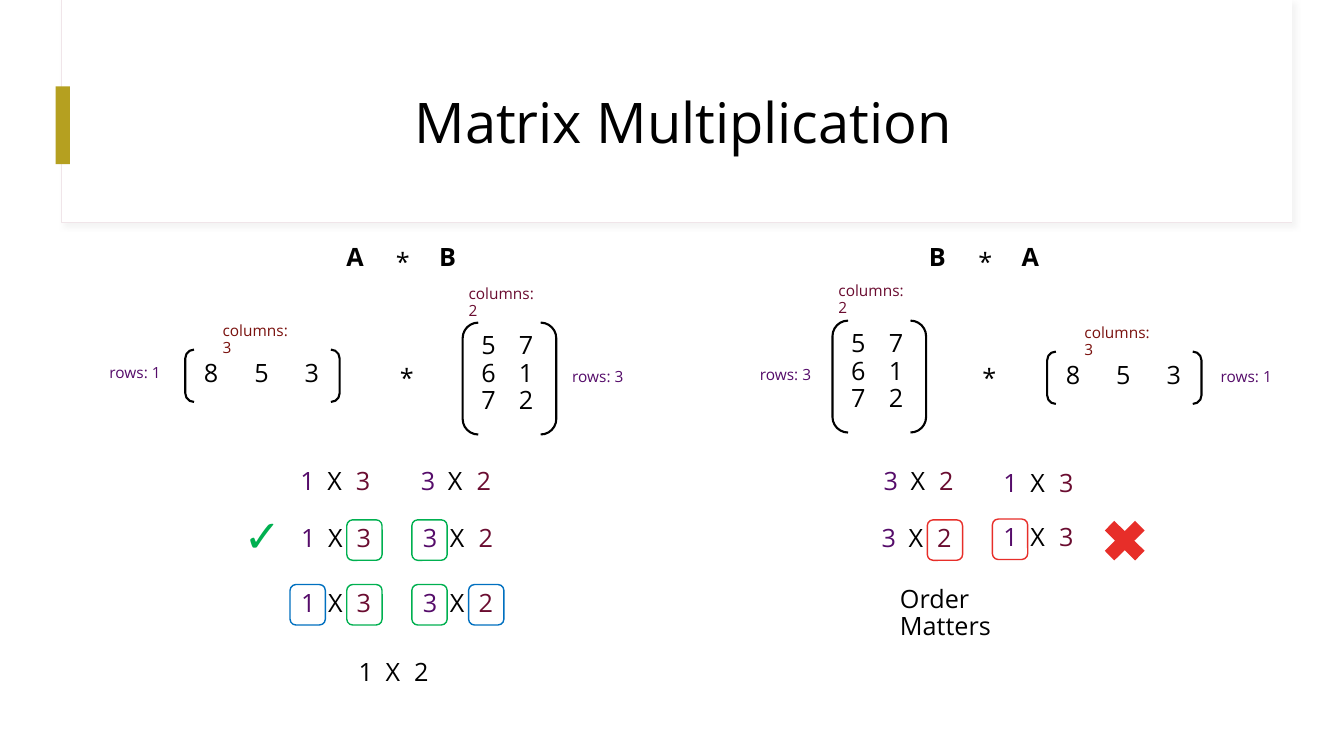
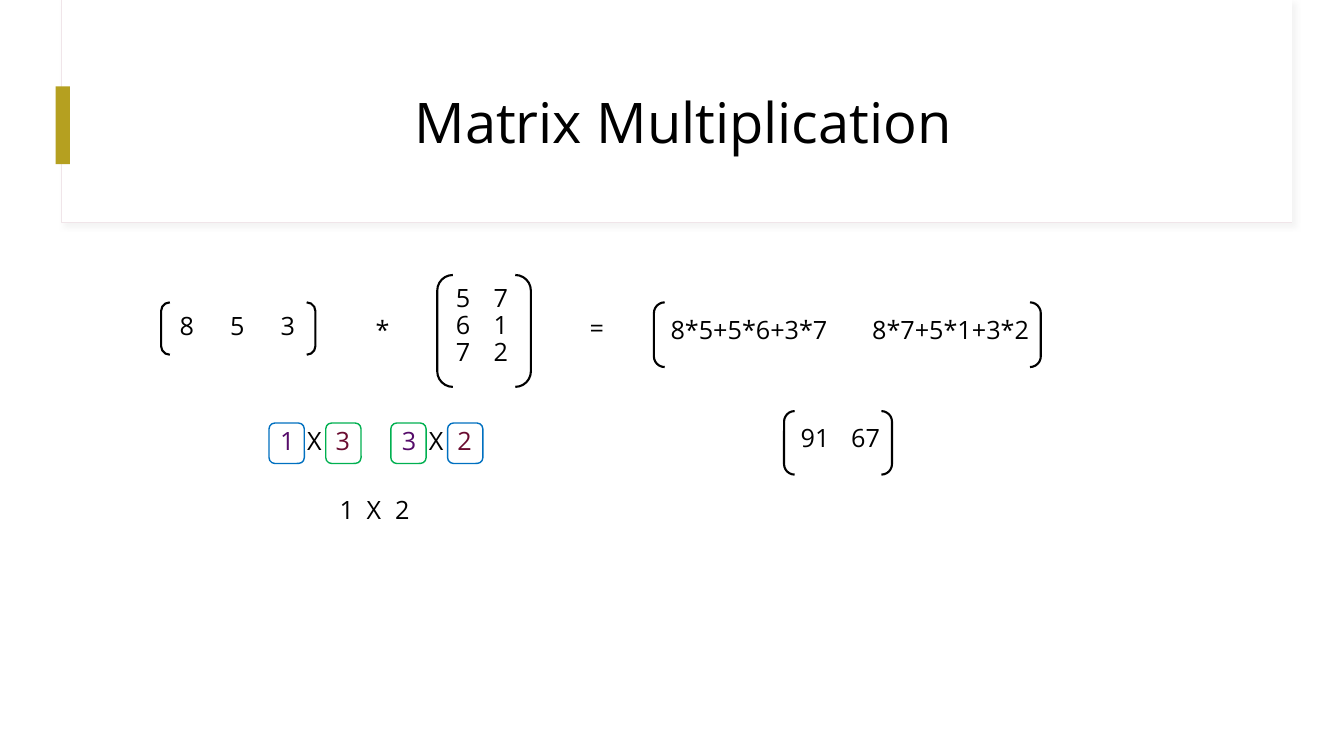
from lxml.etree import SubElement
from pptx import Presentation
from pptx.dml.color import RGBColor
from pptx.enum.shapes import MSO_SHAPE as SHAPE
from pptx.enum.text import MSO_ANCHOR as ANCHOR, PP_ALIGN as ALIGN
from pptx.oxml import parse_xml
from pptx.oxml.ns import nsdecls, qn
from pptx.util import Cm, Pt

FONT = "Open Sans"
BLACK = RGBColor(0x00, 0x00, 0x00)
WHITE = RGBColor(0xFF, 0xFF, 0xFF)
PANEL_LINE = RGBColor(0xF0, 0xE5, 0xE9)
GOLD = RGBColor(0xB5, 0xA0, 0x20)
PURPLE = RGBColor(0x55, 0x0C, 0x6A)
WINE = RGBColor(0x6A, 0x0C, 0x30)
BRICK = RGBColor(0x7A, 0x11, 0x0E)
GREEN = RGBColor(0x00, 0xB0, 0x50)
BLUE = RGBColor(0x00, 0x70, 0xC0)
RED = RGBColor(0xE7, 0x2E, 0x29)

# Text styles
BODY = {"size": Pt(18)}
BOLD = {"size": Pt(18), "bold": True}
SMALL = {"size": Pt(11)}
MARK = {"size": Pt(32)}

# Content; all positions and sizes in cm
ROW_VALUES = "8\t5\t3"
COLUMN_VALUES = ["7", "1", "2"]
COLUMN_START = 5
MATRIX_TABS = [1.27, 2.54, 3.81, 5.08]
SIZE_TABS = [0.68, 1.4]

SLIDES = [
    {
        "title": "Matrix Multiplication",
        "row_matrices": [(4.67, 8.81), (26.39, 8.86)],
        "column_matrices": [(11.66, 8.13), (20.98, 8.08)],
        "results": [],
        # x, y, rows, columns, box colour of rows, box colour of columns
        "sizes": [
            (7.32, 11.68, "1", "3", None, None),
            (10.36, 11.68, "3", "2", None, None),
            (7.34, 13.13, "1", "3", None, GREEN),
            (10.41, 13.13, "3", "2", GREEN, None),
            (7.34, 14.76, "1", "3", BLUE, GREEN),
            (10.41, 14.76, "3", "2", GREEN, BLUE),
            (22.02, 11.68, "3", "2", None, None),
            (25.04, 11.73, "1", "3", None, None),
            (21.97, 13.13, "3", "2", None, RED),
            (25.04, 13.11, "1", "3", RED, None),
        ],
        "result_size": (8.79, 16.51),
        # text, x, y, width, style, colour
        "labels": [
            ("A", 8.48, 6.05, 1, BOLD, BLACK),
            ("*", 9.73, 6.17, 0.79, BODY, BLACK),
            ("B", 10.82, 6.05, 1, BOLD, BLACK),
            ("B", 23.16, 6.05, 1, BOLD, BLACK),
            ("*", 24.41, 6.17, 0.79, BODY, BLACK),
            ("A", 25.5, 6.05, 1, BOLD, BLACK),
            ("*", 9.83, 9.09, 0.79, BODY, BLACK),
            ("*", 24.51, 9.09, 0.79, BODY, BLACK),
            ("rows: 1", 2.51, 9.09, 2.08, SMALL, PURPLE),
            ("columns: 3", 5.36, 8.03, 2.4, SMALL, BRICK),
            ("rows: 3", 14.17, 9.19, 2.08, SMALL, PURPLE),
            ("columns: 2", 11.56, 7.09, 2.4, SMALL, WINE),
            ("rows: 3", 18.9, 9.12, 2.08, SMALL, PURPLE),
            ("columns: 2", 20.88, 7.01, 2.4, SMALL, WINE),
            ("rows: 1", 30.51, 9.17, 2.08, SMALL, PURPLE),
            ("columns: 3", 27.08, 8.08, 2.4, SMALL, BRICK),
            ("✓", 5.89, 12.83, 1.75, MARK, GREEN),
            ("Order Matters", 22.43, 14.66, 4.62, BODY, BLACK),
        ],
        "cross": (27.61, 12.9, 1.47, 1.45),
    },
    {
        "title": "Matrix Multiplication",
        "row_matrices": [(4.06, 7.62)],
        "column_matrices": [(11.02, 6.93)],
        # text, x, y, width, height
        "results": [
            ("8*5+5*6+3*7\t8*7+5*1+3*2", 16.48, 7.62, 9.75, 1.63),
            ("91\t67", 19.76, 10.36, 2.72, 1.6),
        ],
        "sizes": [
            (6.81, 10.69, "1", "3", BLUE, GREEN),
            (9.88, 10.69, "3", "2", GREEN, BLUE),
        ],
        "result_size": (8.31, 12.42),
        "labels": [
            ("*", 9.22, 7.87, 0.79, BODY, BLACK),
            ("=", 14.61, 7.82, 0.94, BODY, BLACK),
        ],
        "cross": None,
    },
]


# Drawing helpers
def format_run(r, style, color):
    for name, value in {"name": FONT, **style}.items():
        setattr(r.font, name, value)
    r.font.color.rgb = color


def add_box(s, kind, x, y, w, h, fill=None, line=None, width=1):
    sp = s.shapes.add_shape(kind, Cm(x), Cm(y), Cm(w), Cm(h))
    sp.shadow.inherit = False
    if fill is None:
        sp.fill.background()
    else:
        sp.fill.solid()
        sp.fill.fore_color.rgb = fill
    if line is None:
        sp.line.fill.background()
    else:
        sp.line.color.rgb = line
        sp.line.width = Pt(width)
    return sp


def add_text(s, paragraphs, x, y, w, h=1.02, style=BODY, tabs=()):
    """Each paragraph is a list of (text, colour) runs."""
    tf = s.shapes.add_textbox(Cm(x), Cm(y), Cm(w), Cm(h)).text_frame
    tf.word_wrap = True
    for i, runs in enumerate(paragraphs):
        p = tf.paragraphs[0] if i == 0 else tf.add_paragraph()
        p.line_spacing = 0.9
        for text, color in runs:
            r = p.add_run()
            r.text = text
            format_run(r, style, color)
        if tabs:
            stops = SubElement(p._p.get_or_add_pPr(), qn("a:tabLst"))
            for stop in tabs:
                SubElement(stops, qn("a:tab"), pos=str(Cm(stop)), algn="l")
    return tf


def add_bracket(s, x, y, w, h):
    add_box(s, SHAPE.DOUBLE_BRACKET, x, y, w, h, line=BLACK, width=1.5)


def add_row_matrix(s, x, y):
    add_bracket(s, x, y, 3.89, 1.32)
    add_text(s, [[(ROW_VALUES, BLACK)]], x + 0.22, y + 0.15, 3.45, tabs=MATRIX_TABS)


def add_column_matrix(s, x, y):
    # The first column is the list numbering, the second is the text
    add_bracket(s, x, y, 2.36, 2.82)
    tf = add_text(s, [[(v, BLACK)] for v in COLUMN_VALUES], x + 0.22, y + 0.14, 1.83, 3.33)
    for p in tf.paragraphs:
        pPr = p._p.get_or_add_pPr()
        pPr.set("marL", str(Cm(0.95)))
        pPr.set("indent", str(-Cm(0.95)))
        SubElement(pPr, qn("a:buAutoNum"), type="arabicPlain", startAt=str(COLUMN_START))


def add_result(s, text, x, y, w, h):
    add_bracket(s, x, y, w, h)
    add_text(s, [[(text, BLACK)]], x + 0.17, y + 0.25, w - 0.16, tabs=MATRIX_TABS)


def add_size(s, x, y, rows, cols, row_box=None, col_box=None,
             row_color=PURPLE, col_color=WINE):
    runs = [(rows, row_color), ("\tX\t", BLACK), (cols, col_color)]
    add_text(s, [runs], x, y, 2.31, tabs=SIZE_TABS)
    for color, dx in ((row_box, -0.03), (col_box, 1.4)):
        if color is not None:
            add_box(s, SHAPE.ROUNDED_RECTANGLE, x + dx, y - 0.03, 0.89, 1.02, line=color)


def add_title(s, text):
    sp = s.shapes.title
    sp.left, sp.top, sp.width, sp.height = Cm(3.1), Cm(1.52), Cm(28.24), Cm(3.28)
    tf = sp.text_frame
    tf.word_wrap = True
    tf.vertical_anchor = ANCHOR.MIDDLE
    p = tf.paragraphs[0]
    p.alignment = ALIGN.CENTER
    p.line_spacing = 0.9
    r = p.add_run()
    r.text = text
    format_run(r, {"size": Pt(40)}, BLACK)


def add_shared_band(s, layout):
    """Draw the title panel and accent, then move them to the layout."""
    panel = add_box(s, SHAPE.RECTANGLE, 1.55, 0, 31.01, 5.61, WHITE, PANEL_LINE, 0.75)
    effects = panel._element.spPr.find(qn("a:effectLst"))
    effects.append(parse_xml(
        f'<a:outerShdw {nsdecls("a")} blurRad="{Pt(4)}" dist="{Pt(3)}" dir="2700000">'
        '<a:srgbClr val="D9D9D9"><a:alpha val="30000"/></a:srgbClr></a:outerShdw>'))
    cover = add_box(s, SHAPE.RECTANGLE, 1.57, 0, 30.99, 5.59, WHITE)
    accent = add_box(s, SHAPE.RECTANGLE, 1.4, 2.18, 0.36, 1.96, GOLD)
    for i, sp in enumerate((panel, cover, accent)):
        layout.shapes.element.insert(2 + i, sp._element)


# Build the slides
prs = Presentation()
prs.slide_width, prs.slide_height = Cm(33.87), Cm(19.05)
title_only = prs.slide_layouts[5]

for number, content in enumerate(SLIDES):
    s = prs.slides.add_slide(title_only)
    if number == 0:
        add_shared_band(s, title_only)
    add_title(s, content["title"])
    for position in content["row_matrices"]:
        add_row_matrix(s, *position)
    for position in content["column_matrices"]:
        add_column_matrix(s, *position)
    for result in content["results"]:
        add_result(s, *result)
    for size in content["sizes"]:
        add_size(s, *size)
    add_size(s, *content["result_size"], "1", "2", row_color=BLACK, col_color=BLACK)
    for text, x, y, w, style, color in content["labels"]:
        add_text(s, [[(text, color)]], x, y, w, style=style)
    if content["cross"]:
        add_box(s, SHAPE.MATH_MULTIPLY, *content["cross"], fill=RED)

prs.save("out.pptx")
